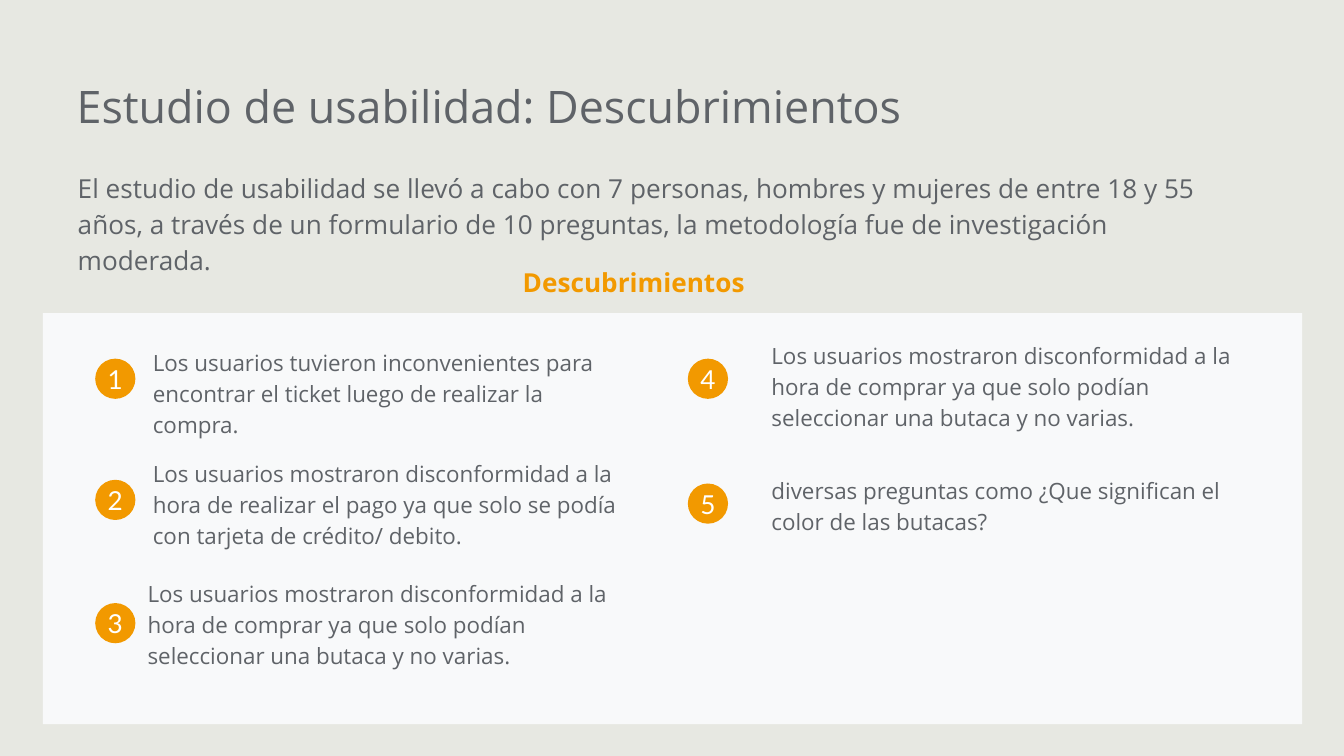
from dataclasses import dataclass
from typing import NamedTuple

from pptx import Presentation
from pptx.dml.color import RGBColor
from pptx.enum.shapes import MSO_SHAPE
from pptx.enum.text import MSO_ANCHOR, MSO_AUTO_SIZE, PP_ALIGN
from pptx.shapes.autoshape import Shape
from pptx.slide import Slide
from pptx.util import Cm, Pt


@dataclass(frozen=True)
class Theme:
    background: RGBColor = RGBColor(0xE7, 0xE8, 0xE2)
    panel: RGBColor = RGBColor(0xF8, 0xF9, 0xFA)
    text: RGBColor = RGBColor(0x5F, 0x63, 0x68)
    accent: RGBColor = RGBColor(0xF2, 0x99, 0x00)
    badge_text: RGBColor = RGBColor(0xFF, 0xFF, 0xFF)
    text_font: str = "Open Sans"
    badge_font: str = "Lato"
    title_size: int = 24
    lead_size: int = 14
    finding_size: int = 12


class Box(NamedTuple):
    """Left, top, width and height in centimetres."""
    left: float
    top: float
    width: float
    height: float

    def lengths(self) -> list[Cm]:
        return [Cm(value) for value in self]


@dataclass(frozen=True)
class Finding:
    badge_left: float
    badge_top: float
    text_left: float
    text_top: float
    text: str
    text_height: float = 2.29


THEME = Theme()
INSET = 0.25
BADGE_SIZE = 0.76
FINDING_WIDTH = 9.27
LEFT_BADGES, RIGHT_BADGES = 1.8, 13.0
LEFT_TEXTS, RIGHT_TEXTS = 2.64, 14.33
SEAT_FINDING = (
    "Los usuarios mostraron disconformidad a la hora de comprar ya que solo "
    "podían seleccionar una butaca y no varias."
)
FINDINGS = [
    Finding(LEFT_BADGES, 6.78, LEFT_TEXTS, 6.27,
            "Los usuarios tuvieron inconvenientes para encontrar el ticket "
            "luego de realizar la compra."),
    Finding(LEFT_BADGES, 9.07, LEFT_TEXTS, 8.38,
            "Los usuarios mostraron disconformidad a la hora de realizar el "
            "pago ya que solo se podía con tarjeta de crédito/ debito."),
    Finding(LEFT_BADGES, 11.4, LEFT_TEXTS - 0.1, 10.64, SEAT_FINDING),
    Finding(RIGHT_BADGES, 6.78, RIGHT_TEXTS, 6.15, SEAT_FINDING),
    Finding(RIGHT_BADGES, 9.14, RIGHT_TEXTS, 8.69,
            "diversas preguntas como ¿Que significan el color de las butacas?",
            1.7),
]


def apply_format(target: object, values: dict[str, object]) -> None:
    for name, value in values.items():
        setattr(target, name, value)


def write_text(shape: Shape, text: str, size: int, color: RGBColor, font: str,
               frame_format: dict[str, object],
               paragraph_format: dict[str, object], bold: bool = False) -> None:
    apply_format(shape.text_frame, frame_format)
    paragraph = shape.text_frame.paragraphs[0]
    apply_format(paragraph, paragraph_format)
    run = paragraph.add_run()
    run.text = text
    apply_format(run.font, {"name": font, "size": Pt(size), "bold": bold})
    run.font.color.rgb = color


def add_text(slide: Slide, box: Box, text: str, size: int,
             color: RGBColor = THEME.text, left_inset: float = INSET,
             line_spacing: float = 1.15, bold: bool = False) -> None:
    shape = slide.shapes.add_textbox(*box.lengths())
    frame_format = {
        "word_wrap": True, "auto_size": MSO_AUTO_SIZE.SHAPE_TO_FIT_TEXT,
        "margin_left": Cm(left_inset), "margin_top": Cm(INSET),
        "margin_right": Cm(INSET), "margin_bottom": Cm(INSET),
    }
    write_text(shape, text, size, color, THEME.text_font, frame_format,
               {"line_spacing": line_spacing}, bold)


def add_filled_shape(slide: Slide, kind: MSO_SHAPE, box: Box,
                     color: RGBColor) -> Shape:
    shape = slide.shapes.add_shape(kind, *box.lengths())
    shape.shadow.inherit = False
    shape.fill.solid()
    shape.fill.fore_color.rgb = color
    shape.line.fill.background()
    return shape


def add_finding(slide: Slide, number: int, finding: Finding) -> None:
    """Draw a numbered badge and the finding beside it."""
    add_text(slide, Box(finding.text_left, finding.text_top, FINDING_WIDTH,
                        finding.text_height), finding.text, THEME.finding_size)
    badge = add_filled_shape(
        slide, MSO_SHAPE.OVAL,
        Box(finding.badge_left, finding.badge_top, BADGE_SIZE, BADGE_SIZE),
        THEME.accent)
    frame_format = {
        "vertical_anchor": MSO_ANCHOR.MIDDLE, "margin_left": 0,
        "margin_top": 0, "margin_right": 0, "margin_bottom": 0,
    }
    write_text(badge, str(number), THEME.lead_size, THEME.badge_text,
               THEME.badge_font, frame_format, {"alignment": PP_ALIGN.CENTER})


def main() -> None:
    presentation = Presentation()
    presentation.slide_width, presentation.slide_height = Cm(25.4), Cm(14.29)
    slide = presentation.slides.add_slide(presentation.slide_layouts[6])
    slide.background.fill.solid()
    slide.background.fill.fore_color.rgb = THEME.background

    add_text(slide, Box(1.45, 1.24, 17.09, 1.55),
             "Estudio de usabilidad: Descubrimientos", THEME.title_size,
             left_inset=0, line_spacing=1.0)
    add_text(slide, Box(1.47, 2.92, 21.87, 2.57),
             "El estudio de usabilidad se llevó a cabo con 7 personas, hombres "
             "y mujeres de entre 18 y 55 años, a través de un formulario de 10 "
             "preguntas, la metodología fue de investigación moderada.",
             THEME.lead_size, left_inset=0)
    add_text(slide, Box(9.63, 4.7, FINDING_WIDTH, 1.19), "Descubrimientos",
             THEME.lead_size, THEME.accent, bold=True)
    add_filled_shape(slide, MSO_SHAPE.RECTANGLE, Box(0.81, 5.92, 23.8, 7.77),
                     THEME.panel)
    for number, finding in enumerate(FINDINGS, start=1):
        add_finding(slide, number, finding)

    presentation.save("out.pptx")


if __name__ == "__main__":
    main()
